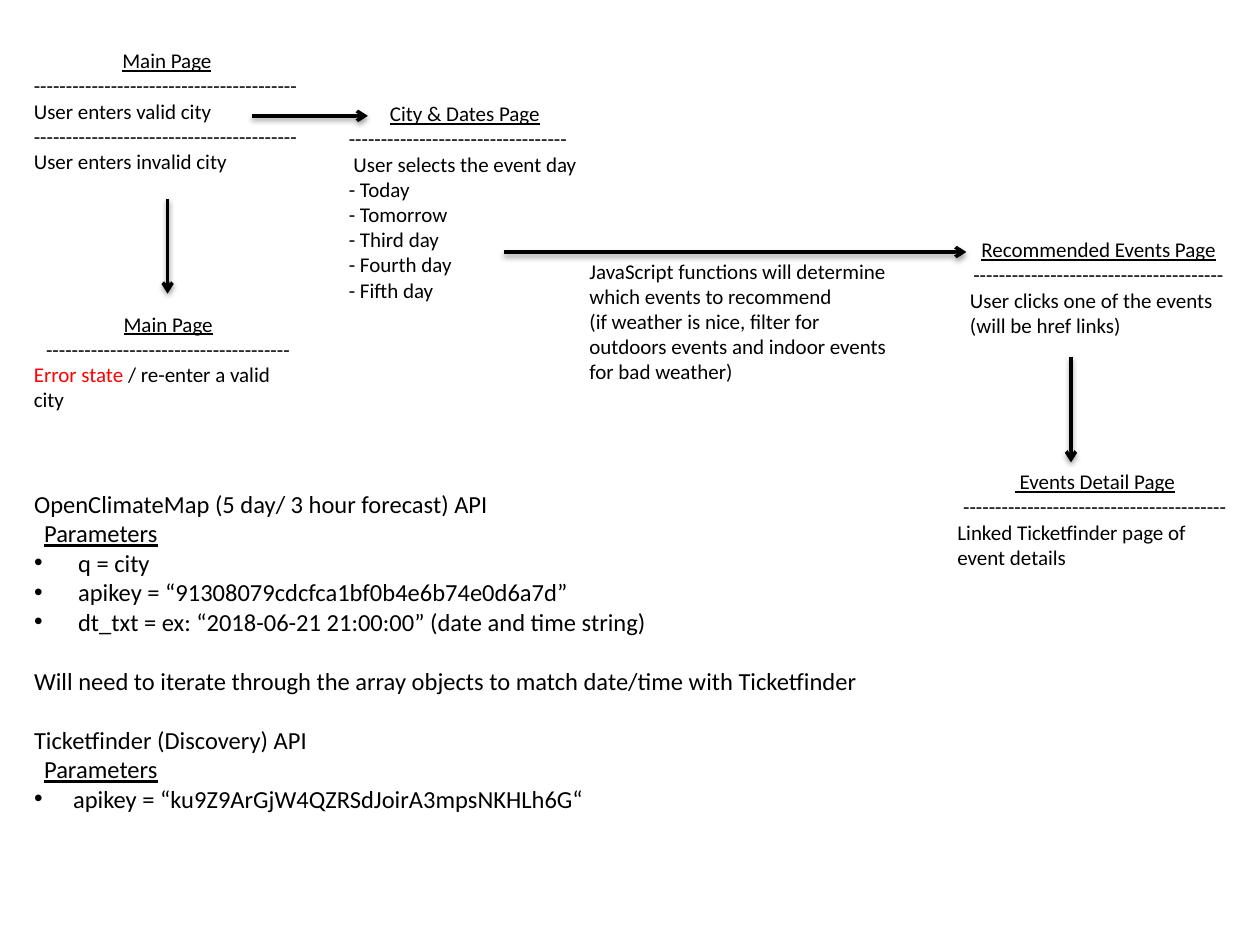
"""Build the page-flow slide for an event recommendation app with its API notes."""
import lxml.etree
import pptx
import pptx.dml.color
import pptx.enum.shapes
import pptx.enum.text
import pptx.oxml.ns
import pptx.util

Inches = pptx.util.Inches
Pt = pptx.util.Pt
qn = pptx.oxml.ns.qn
CENTER = pptx.enum.text.PP_ALIGN.CENTER
LEFT = pptx.enum.text.PP_ALIGN.LEFT
COLORS = {"ink": "000000", "error": "FF0000"}


def add_run(paragraph, text, size, color="ink", underline=False):
    run = paragraph.add_run()
    run.text = text
    font_format = {"name": "Calibri", "size": Pt(size), "underline": underline}
    for attribute, value in font_format.items():
        setattr(run.font, attribute, value)
    run.font.color.rgb = pptx.dml.color.RGBColor.from_string(COLORS[color])


def add_xml(parent, tag, **attributes):
    return lxml.etree.SubElement(parent, qn(tag), attributes)


presentation = pptx.Presentation()
presentation.slide_width = Inches(10)
presentation.slide_height = Inches(7.5)
slide = presentation.slides.add_slide(presentation.slide_layouts[1])
title = slide.shapes.title.element
title.getparent().remove(title)

pages = [
    ((0.17, 0.33, 2.31, 1.23), "Main Page", 41, LEFT,
     ["User enters valid city", "-" * 41, "User enters invalid city"]),
    ((0.17, 2.42, 2.33, 0.88), "Main Page", 38, CENTER,
     [[("Error state", "error"), (" / re-enter a valid city", "ink")]]),
    ((2.67, 0.75, 2.04, 1.75), "City & Dates Page", 34, LEFT,
     [" User selects the event day", "- Today", "- Tomorrow", "- Third day",
      "- Fourth day", "- Fifth day"]),
    ((7.6, 1.83, 2.24, 1.08), "Recommended Events Page", 39, CENTER,
     ["User clicks one of the events (will be href links)"]),
    ((7.5, 3.67, 2.38, 0.88), " Events Detail Page", 41, CENTER,
     ["Linked Ticketfinder page of event details"]),
    ((4.58, 2, 2.67, 1.11), None, 0, LEFT,
     ["JavaScript functions will determine which events to recommend",
      "(if weather is nice, filter for outdoors events and indoor events for bad weather)"]),
]
for box, heading, dash_count, rule_alignment, lines in pages:
    text_frame = slide.shapes.add_textbox(*map(Inches, box)).text_frame
    text_frame.word_wrap = True
    rows = [(line, LEFT, False) for line in lines]
    if heading:
        rows = [(heading, CENTER, True), ("-" * dash_count, rule_alignment, False)] + rows
    for index, (content, alignment, underline) in enumerate(rows):
        paragraph = text_frame.add_paragraph() if index else text_frame.paragraphs[0]
        paragraph.alignment = alignment
        pieces = [(content, "ink")] if isinstance(content, str) else content
        for text, color in pieces:
            add_run(paragraph, text, 12, color, underline)

arrows = [(1.33, 1.58, 1.33, 2.33), (2, 0.92, 2.92, 0.92),
          (8.5, 2.83, 8.5, 3.67), (4, 2, 7.67, 2)]
for ends in arrows:
    arrow = slide.shapes.add_connector(
        pptx.enum.shapes.MSO_CONNECTOR.STRAIGHT, *map(Inches, ends))
    arrow.line.width = Pt(2)
    arrow.line.color.rgb = pptx.dml.color.RGBColor.from_string(COLORS["ink"])
    properties = arrow.element.spPr
    add_xml(properties.find(qn("a:ln")), "a:tailEnd", type="arrow")
    effects = add_xml(properties, "a:effectLst")
    shadow = add_xml(effects, "a:outerShdw", blurRad=str(Pt(3.1)), dist=str(Pt(1.6)),
                     dir="5400000", rotWithShape="0")
    shadow_color = add_xml(shadow, "a:srgbClr", val=COLORS["ink"])
    add_xml(shadow_color, "a:alpha", val="38000")

notes = slide.placeholders[1]
placement = {"left": 0.17, "top": 3.83, "width": 7, "height": 3.4}
for attribute, value in placement.items():
    setattr(notes, attribute, Inches(value))
frame_format = {"word_wrap": True, "auto_size": pptx.enum.text.MSO_AUTO_SIZE.NONE,
                "vertical_anchor": pptx.enum.text.MSO_ANCHOR.TOP}
for attribute, value in frame_format.items():
    setattr(notes.text_frame, attribute, value)

note_rows = [
    ("OpenClimateMap (5 day/ 3 hour forecast) API", "plain", 0, 0),
    ("Parameters", "label", 0.08, 0),
    ("q = city", "bullet", 0.35, 0),
    ("apikey = “91308079cdcfca1bf0b4e6b74e0d6a7d”", "bullet", 0.35, 0),
    ("dt_txt = ex: “2018-06-21 21:00:00” (date and time string)", "bullet", 0.35, 0),
    ("Will need to iterate through the array objects to match date/time with Ticketfinder",
     "plain", 0, 17),
    ("Ticketfinder (Discovery) API", "plain", 0, 17),
    ("Parameters", "label", 0.08, 0),
    ("apikey = “ku9Z9ArGjW4QZRSdJoirA3mpsNKHLh6G“", "bullet", 0.31, 0),
]
for index, (text, role, margin, gap) in enumerate(note_rows):
    paragraph = notes.text_frame.add_paragraph() if index else notes.text_frame.paragraphs[0]
    paragraph_format = {"alignment": LEFT, "space_before": Pt(gap), "space_after": Pt(0)}
    for attribute, value in paragraph_format.items():
        setattr(paragraph, attribute, value)
    add_run(paragraph, text, 14, underline=role == "label")
    properties = paragraph.runs[0].font and paragraph._p.get_or_add_pPr()
    properties.set("marL", str(Inches(margin)))
    if role == "bullet":
        properties.set("indent", str(-Inches(margin)))
        add_xml(properties, "a:buFont", typeface="Arial")
        add_xml(properties, "a:buChar", char="•")
    else:
        properties.set("indent", "0")
        add_xml(properties, "a:buNone")

presentation.save("out.pptx")
